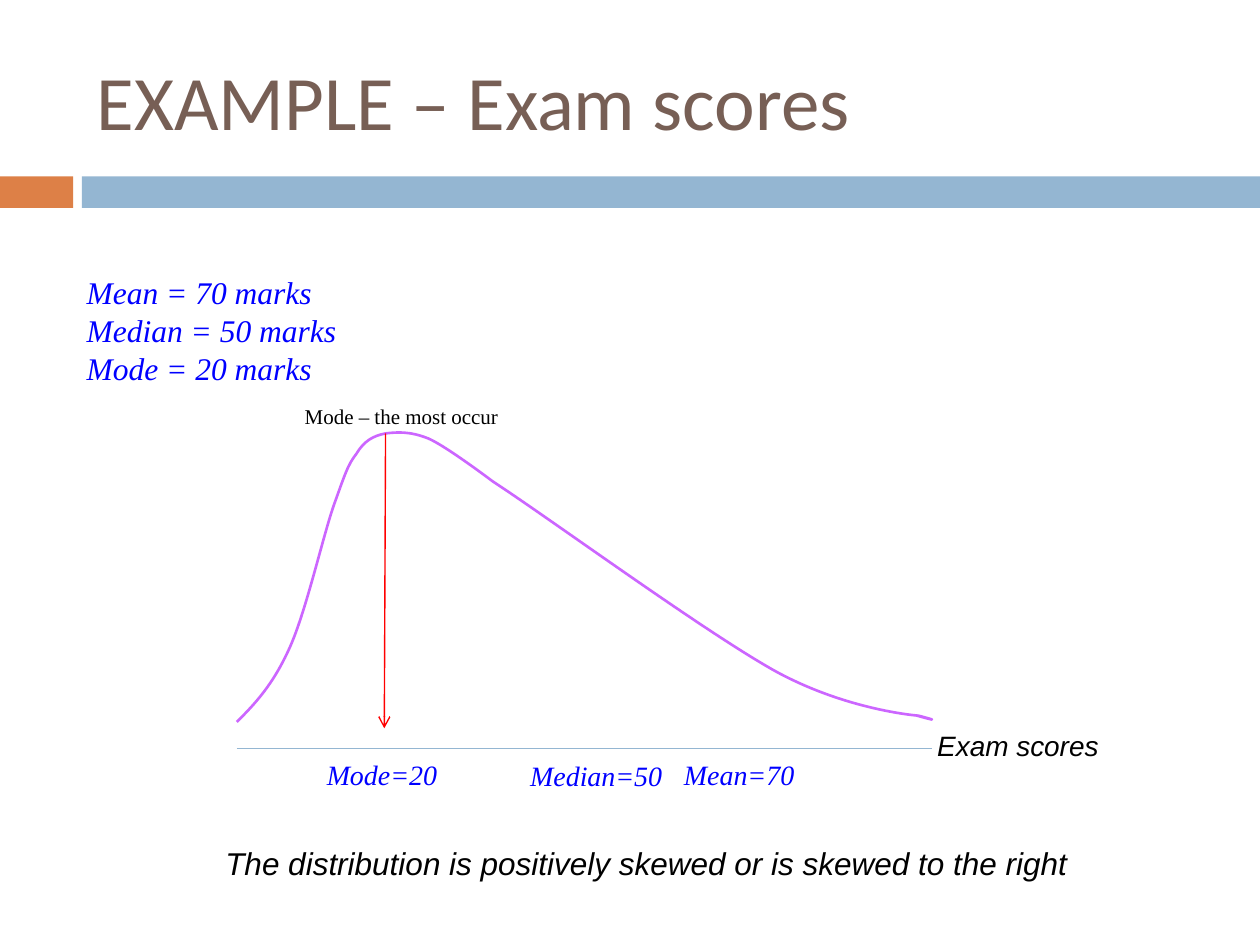
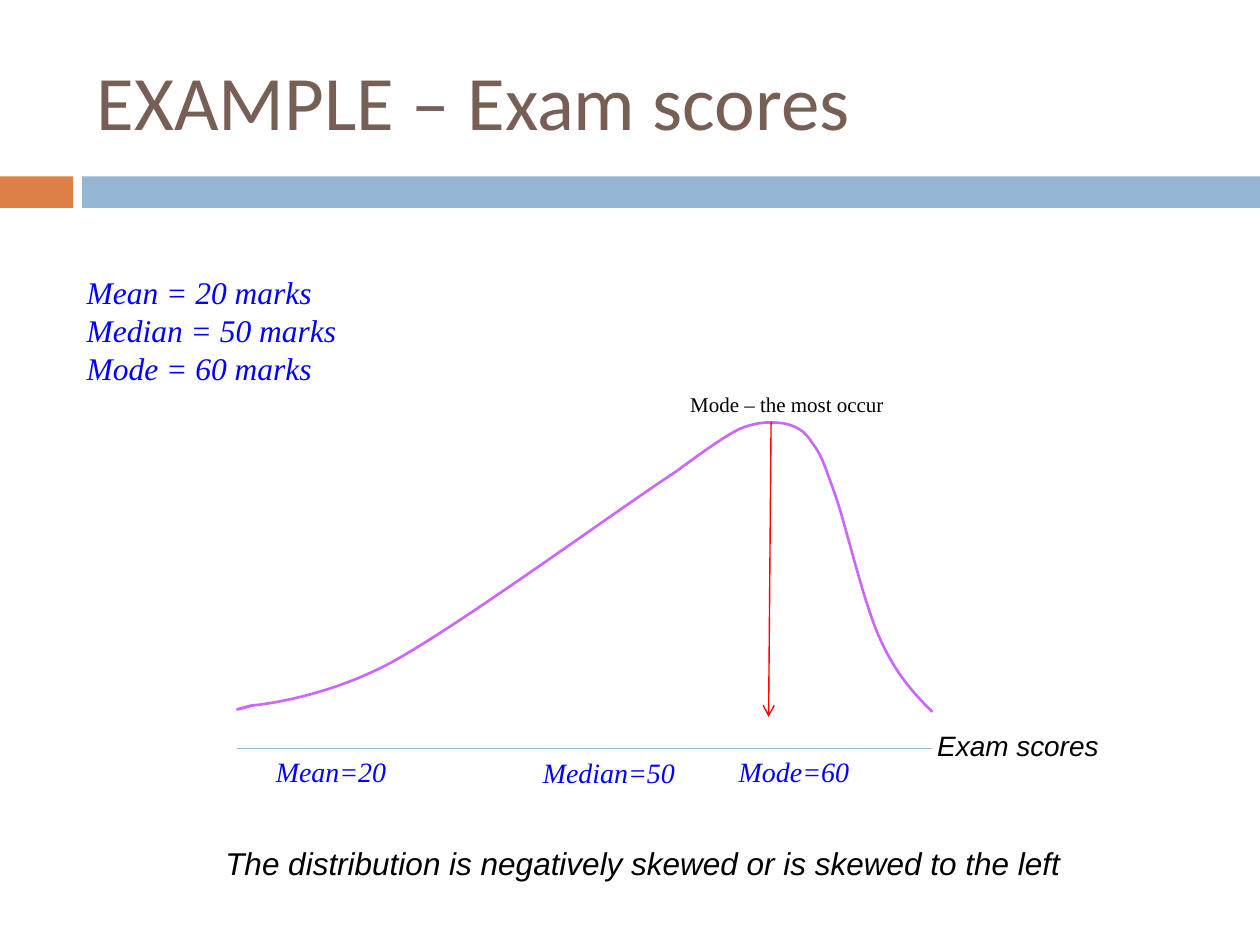
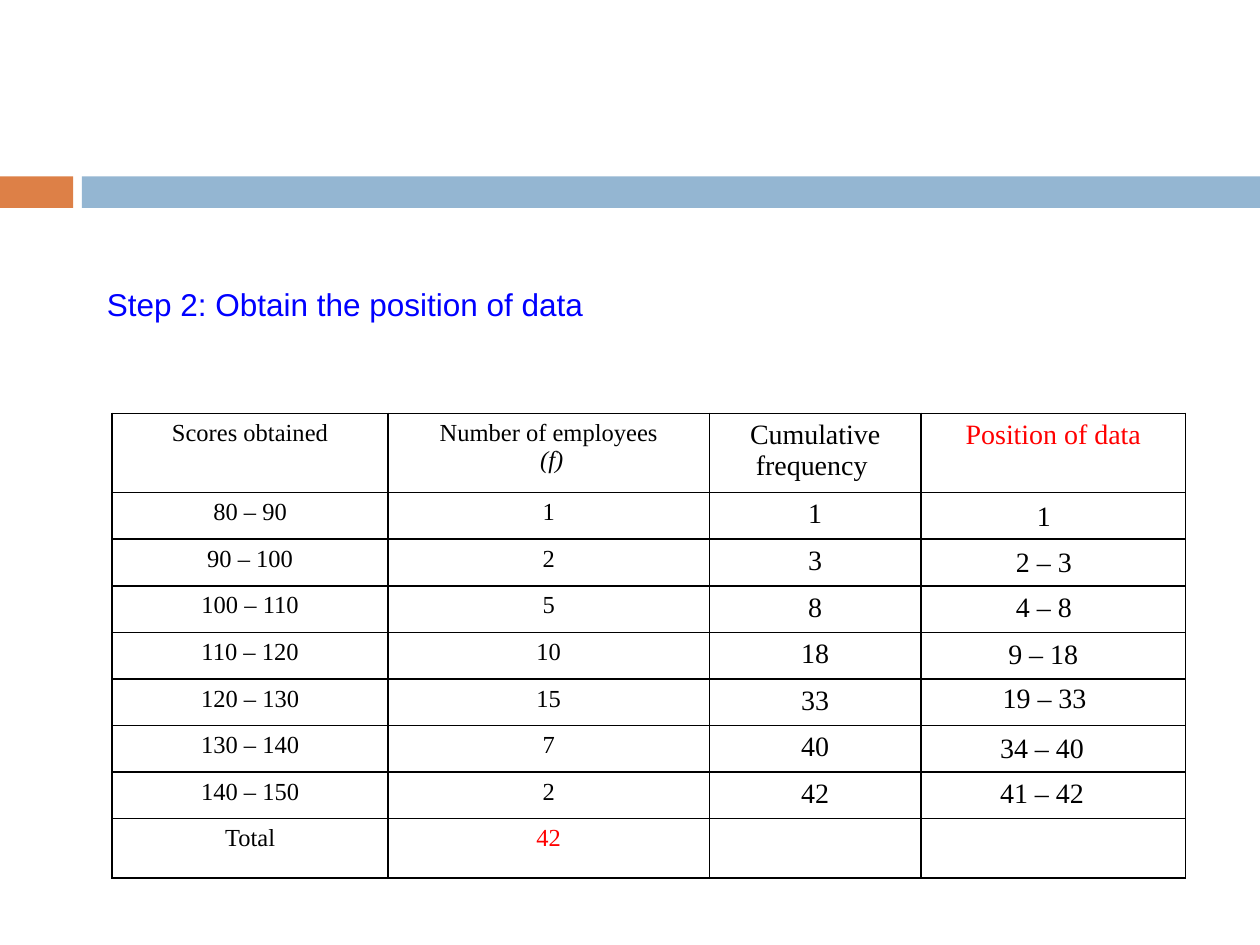
from lxml import etree
from pptx import Presentation
from pptx import util as u
from pptx.dml.color import RGBColor
from pptx.enum import shapes, text
from pptx.oxml.ns import qn

COLOURS = {
    "title": "775F55", "orange": "DD8047", "band": "94B6D2", "blue": "0000FF",
    "red": "FF0000", "curve": "CC66FF", "black": "000000",
}
SERIF, SANS, TITLE_FONT = "Times New Roman", "Arial", "Calibri"
HANGING = u.Inches(0.35)
AXIS_LEFT, AXIS_RIGHT, AXIS_TOP = 1.88, 7.4, 5.94

# Start point, then two control points and an end point for each bend.
SKEWED_CURVE = [
    (1.88, 5.73),
    (2.03, 5.58), (2.17, 5.43), (2.3, 5.14),
    (2.43, 4.85), (2.56, 4.27), (2.65, 4.01),
    (2.74, 3.76), (2.76, 3.69), (2.83, 3.6),
    (2.89, 3.5), (2.96, 3.46), (3.06, 3.44),
    (3.15, 3.43), (3.25, 3.42), (3.4, 3.48),
    (3.54, 3.54), (3.91, 3.82), (3.91, 3.82),
    (4.37, 4.12), (5.6, 5.02), (6.16, 5.33),
    (6.73, 5.64), (7.29, 5.68), (7.29, 5.68),
    (7.48, 5.73), (7.38, 5.71), (7.28, 5.68),
]
COLUMN_WIDTHS = [2.19, 2.55, 1.68, 2.1]
ROW_HEIGHTS = [0.63] + [0.37] * 7 + [0.47]
SCORE_ROWS = [
    ("80 – 90", "1", "1"), ("90 – 100", "2", "3"), ("100 – 110", "5", "8"),
    ("110 – 120", "10", "18"), ("120 – 130", "15", "33"),
    ("130 – 140", "7", "40"), ("140 – 150", "2", "42"),
]
# Text, left, top and width of each position label.
POSITIONS = [
    ("1", 8.13, 3.91, 0.31), ("2 – 3", 7.96, 4.27, 0.65), ("4 – 8", 7.96, 4.63, 0.65),
    ("9 – 18", 7.9, 5, 0.76), ("19 – 33", 7.85, 5.35, 0.88),
    ("34 – 40", 7.83, 5.75, 0.88), ("41 – 42", 7.83, 6.11, 0.88),
]


def colour(name):
    """Return the named colour."""
    return RGBColor.from_string(COLOURS[name])


def inches(*lengths):
    """Turn numbers into lengths."""
    return [u.Inches(length) for length in lengths]


def write(frame, lines, size, font=SERIF, ink="black", italic=False, centred=False):
    """Fill a text frame with one paragraph for each line."""
    for index, line in enumerate(lines):
        paragraph = frame.add_paragraph() if index else frame.paragraphs[0]
        if line:
            paragraph.text = line
        paragraph.font.size = u.Pt(size)
        paragraph.font.name = font
        paragraph.font.italic = italic
        paragraph.font.color.rgb = colour(ink)
        if centred:
            paragraph.alignment = text.PP_ALIGN.CENTER
            properties = paragraph._p.get_or_add_pPr()
            properties.set("marL", str(HANGING))
            properties.set("indent", str(-HANGING))


def add_label(slide, box, lines, size, wrap=False, **style):
    """Add a text box that fits its text."""
    frame = slide.shapes.add_textbox(*inches(*box)).text_frame
    frame.word_wrap = wrap
    frame.auto_size = text.MSO_AUTO_SIZE.SHAPE_TO_FIT_TEXT
    write(frame, lines, size, **style)
    return frame


def add_band(slide, left, width, fill):
    """Add one part of the band below the title."""
    band = slide.shapes.add_shape(
        shapes.MSO_SHAPE.RECTANGLE, *inches(left, 1.4, width, 0.25))
    band.shadow.inherit = False
    band.fill.solid()
    band.fill.fore_color.rgb = colour(fill)
    band.line.fill.background()


def add_line(slide, start, end, ink, arrow=False):
    """Add a thin straight line, with an arrowhead at its end if asked."""
    line = slide.shapes.add_connector(
        shapes.MSO_CONNECTOR.STRAIGHT, *inches(*start, *end))
    line.line.color.rgb = colour(ink)
    line.line.width = u.Pt(0.79)
    if arrow:
        etree.SubElement(line.line._get_or_add_ln(), qn("a:tailEnd"), type="arrow")
    etree.SubElement(line._element.spPr, qn("a:effectLst"))


def add_curve(slide, points):
    """Add an open outline whose points are joined by cubic bends."""
    start, *others = [inches(*point) for point in points]
    builder = slide.shapes.build_freeform(*start)
    builder.add_line_segments(others, close=False)
    curve = builder.convert_to_shape()
    curve.shadow.inherit = False
    curve.fill.background()
    curve.line.color.rgb = colour("curve")
    curve.line.width = u.Pt(1.5)
    outline = next(curve._element.iter(qn("a:path")))
    steps = outline.findall(qn("a:lnTo"))
    for first in range(0, len(steps), 3):
        bend = etree.SubElement(outline, qn("a:cubicBezTo"))
        for step in steps[first:first + 3]:
            bend.append(step[0])
            outline.remove(step)


def add_slide(presentation, title=None):
    """Add a slide with the shared band and an optional title."""
    slide = presentation.slides.add_slide(presentation.slide_layouts[6])
    add_band(slide, 0, 0.58, "orange")
    add_band(slide, 0.65, 9.35, "band")
    if title:
        frame = slide.shapes.add_textbox(*inches(0.67, 0.25, 8.92, 1.08)).text_frame
        frame.word_wrap = True
        frame.vertical_anchor = text.MSO_ANCHOR.MIDDLE
        write(frame, [title], 44, TITLE_FONT, "title")
    return slide


def add_skew_slide(presentation, marks, points, axis_labels, arrow, mode_box, conclusion):
    """Add a slide with a skewed distribution and its three averages."""
    slide = add_slide(presentation, "EXAMPLE – Exam scores")
    add_curve(slide, points)
    add_line(slide, (AXIS_LEFT, AXIS_TOP), (AXIS_RIGHT, AXIS_TOP), "band")
    averages = [f"{name} = {mark} marks" for name, mark in marks.items()]
    add_label(slide, (0.59, 2.12, 2.2, 1.01), averages, 18, ink="blue", italic=True)
    add_label(slide, (7.34, 5.73, 1.5, 0.37), ["Exam scores"], 16, font=SANS, italic=True)
    for label, left, top, width in axis_labels:
        add_label(slide, (left, top, width, 0.37), [label], 16, ink="blue", italic=True)
    add_label(slide, (1.69, 6.65, 7.14, 0.4), [conclusion], 18, wrap=True,
              font=SANS, italic=True)
    add_line(slide, *arrow, "red", arrow=True)
    add_label(slide, (*mode_box, 1.76, 0.3), ["Mode – the most occur"], 12)


def add_borders(cell):
    """Draw a black line on all four sides of a cell."""
    properties = cell._tc.get_or_add_tcPr()
    for side in ("lnL", "lnR", "lnT", "lnB"):
        border = etree.SubElement(properties, qn(f"a:{side}"), w=str(u.Pt(1)))
        fill = etree.SubElement(border, qn("a:solidFill"))
        etree.SubElement(fill, qn("a:srgbClr"), val=COLOURS["black"])


def add_score_table(slide):
    """Add the frequency table."""
    rows = [
        ("Scores obtained", "Number of employees\n (f)", "Cumulative\nfrequency ",
         "Position of data"),
        *[(*row, "") for row in SCORE_ROWS],
        ("Total", "42", "", ""),
    ]
    table = slide.shapes.add_table(
        len(rows), len(COLUMN_WIDTHS),
        *inches(0.89, 3.28, sum(COLUMN_WIDTHS), sum(ROW_HEIGHTS))).table
    table.first_row = table.horz_banding = False
    for column, width in zip(table.columns, COLUMN_WIDTHS):
        column.width = u.Inches(width)
    for row, height in zip(table.rows, ROW_HEIGHTS):
        row.height = u.Inches(height)
    red_cells = {(0, 3), (len(rows) - 1, 1)}
    for row_index, row in enumerate(rows):
        for column_index, content in enumerate(row):
            cell = table.cell(row_index, column_index)
            add_borders(cell)
            cell.fill.background()
            write(cell.text_frame, content.split("\n"), 14 if column_index < 2 else 16,
                  ink="red" if (row_index, column_index) in red_cells else "black",
                  centred=True)
    table.cell(0, 1).text_frame.paragraphs[1].font.italic = True


def add_position_slide(presentation):
    """Add the slide that finds the position of the data."""
    slide = add_slide(presentation)
    add_score_table(slide)
    for label, left, top, width in POSITIONS:
        add_label(slide, (left, top, width, 0.37), [label], 16, centred=True)
    step = add_label(slide, (0.75, 2.25, 4.02, 0.37),
                     ["Step 2: Obtain the position of data"], 18, font=SANS, ink="blue")
    step.paragraphs[0].line_spacing = 0.9


def main():
    """Build and save the presentation."""
    presentation = Presentation()
    presentation.slide_width, presentation.slide_height = inches(10, 7.5)
    add_skew_slide(
        presentation, {"Mean": 70, "Median": 50, "Mode": 20}, SKEWED_CURVE,
        [("Mean=70", 5.33, 5.96, 1.09), (" Mode=20 ", 2.44, 5.96, 1.2),
         ("Median=50", 4.11, 5.97, 1.26)],
        ((3.06, 3.44), (3.05, 5.78)), (2.32, 3.15),
        "The distribution is positively skewed or is skewed to the right")
    mirrored = [(AXIS_LEFT + AXIS_RIGHT - x, y - 0.08) for x, y in SKEWED_CURVE]
    add_skew_slide(
        presentation, {"Mean": 20, "Median": 50, "Mode": 60}, mirrored,
        [("Mean=20", 2.09, 5.94, 1.09), (" Mode=60 ", 5.71, 5.94, 1.2),
         ("Median=50", 4.21, 5.95, 1.26)],
        ((6.12, 3.35), (6.1, 5.69)), (5.38, 3.06),
        "The distribution is negatively skewed or is skewed to the left")
    add_position_slide(presentation)
    presentation.save("out.pptx")


main()
